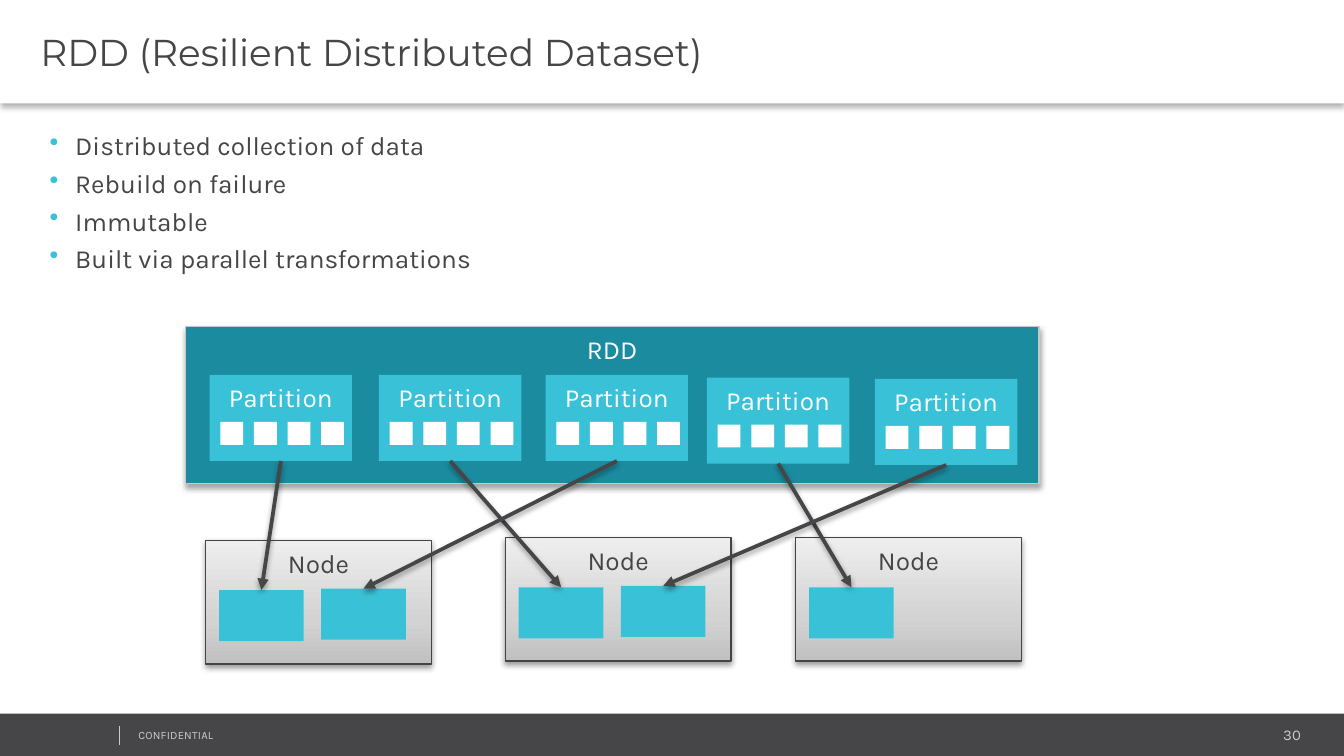
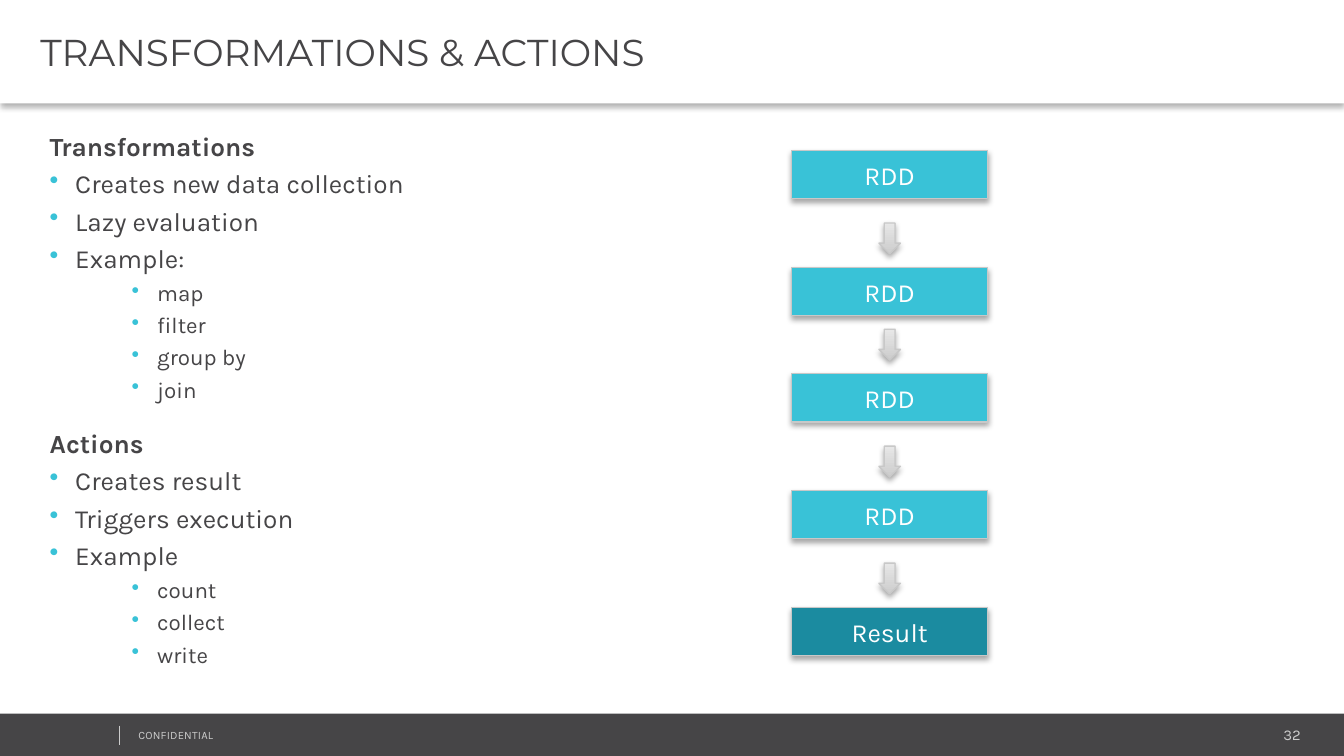
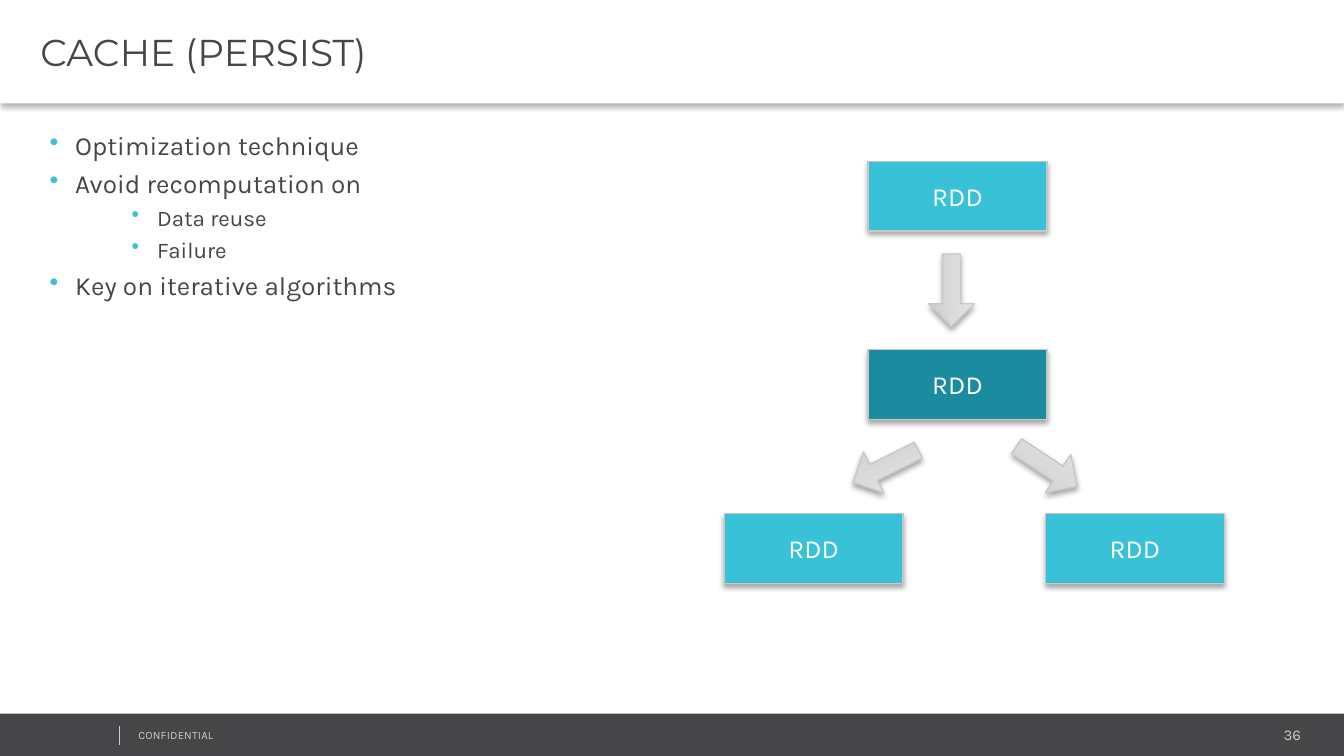
from dataclasses import dataclass

from lxml.etree import SubElement
from pptx import Presentation
from pptx.dml.color import RGBColor
from pptx.enum.shapes import MSO_CONNECTOR, MSO_SHAPE
from pptx.enum.text import MSO_ANCHOR, PP_ALIGN
from pptx.oxml.ns import qn
from pptx.util import Inches, Pt


@dataclass(frozen=True)
class Theme:
    white: str = "FFFFFF"
    ink: str = "464547"
    accent: str = "39C2D7"
    deep: str = "1B8BA0"
    edge: str = "C8C8C8"
    node_edge: str = "444345"
    muted: str = "CCCCCC"
    arrow_stops: tuple = ((0, "CCCCCC"), (100, "E7E7E7"))
    node_stops: tuple = ((0, "C1C0C1"), (35, "D3D3D4"), (100, "EFEEEF"))
    # Shadows: opacity in percent, distance in points
    title_shadow: tuple = (30, 2)
    box_shadow: tuple = (35, 1.8)
    node_shadow: tuple = (38, 1.6)
    body_font: str = "Karla"
    title_font: str = "Montserrat"
    title_size: float = 20
    body_size: float = 14
    sub_size: float = 12
    page_size: float = 8
    note_size: float = 6


T = Theme()
WIDTH, HEIGHT = 10, 5.625
TEXT_INSETS = (0.07, 0.04, 0.07, 0.04)
BULLETS = {0: dict(indent=0.19, size=T.body_size, format=dict(line_spacing=1.2)),
           1: dict(indent=0.8, size=T.sub_size, format=dict(level=1, space_before=Pt(2.8)))}
HANGING = 0.19


def set_values(obj, values):
    for name, value in values.items():
        setattr(obj, name, value)


def set_line(line, color, width):
    line.color.rgb = RGBColor.from_string(color)
    line.width = Pt(width)


def set_gradient(sp, stops):
    """Fill from the bottom up with (percent, colour) stops."""
    sp.fill.gradient()
    sp.fill.gradient_angle = 90
    gs_list = sp.element.spPr.find(qn("a:gradFill")).find(qn("a:gsLst"))
    for gs in list(gs_list):
        gs_list.remove(gs)
    for percent, color in stops:
        gs = SubElement(gs_list, qn("a:gs"), pos=str(percent * 1000))
        SubElement(gs, qn("a:srgbClr"), val=color)


def set_shadow(sp, shadow):
    """Replace the theme shadow by a soft one below, or by none."""
    effects = sp.element.spPr.find(qn("a:effectLst"))
    if effects is None:
        effects = SubElement(sp.element.spPr, qn("a:effectLst"))
    if shadow:
        opacity, distance = shadow
        outer = SubElement(effects, qn("a:outerShdw"), blurRad=str(Pt(3.1)),
                           dist=str(Pt(distance)), dir="5400000",
                           algn="ctr", rotWithShape="0")
        color = SubElement(outer, qn("a:srgbClr"), val="000000")
        SubElement(color, qn("a:alpha"), val=str(opacity * 1000))


def add_run(p, text, size, color, font=T.body_font, bold=False):
    r = p.add_run()
    r.text = text
    set_values(r.font, dict(name=font, size=Pt(size), bold=bold))
    r.font.color.rgb = RGBColor.from_string(color)
    return r


def set_frame(tf, insets=TEXT_INSETS, anchor=MSO_ANCHOR.TOP):
    sides = ("margin_left", "margin_top", "margin_right", "margin_bottom")
    set_values(tf, dict(zip(sides, map(Inches, insets)),
                        word_wrap=True, vertical_anchor=anchor))


def add_block(shapes, box, fill, kind=MSO_SHAPE.RECTANGLE, line=None, shadow=None):
    """Add a shape; fill is a colour or a tuple of gradient stops."""
    sp = shapes.add_shape(kind, *map(Inches, box))
    sp.shadow.inherit = False
    if isinstance(fill, tuple):
        set_gradient(sp, fill)
    else:
        sp.fill.solid()
        sp.fill.fore_color.rgb = RGBColor.from_string(fill)
    if line:
        set_line(sp.line, line, 0.75)
    else:
        sp.line.fill.background()
    set_shadow(sp, shadow)
    return sp


def add_label(sp, text, color=T.white, anchor=MSO_ANCHOR.TOP):
    set_frame(sp.text_frame, (0.1, 0.05, 0.1, 0.05), anchor)
    p = sp.text_frame.paragraphs[0]
    p.alignment = PP_ALIGN.CENTER
    add_run(p, text, T.body_size, color)


def add_rdd(shapes, box, text="RDD", fill=T.accent, anchor=MSO_ANCHOR.MIDDLE):
    sp = add_block(shapes, box, fill, line=T.edge, shadow=T.box_shadow)
    add_label(sp, text, anchor=anchor)


def add_flow_arrow(shapes, box, kind):
    return add_block(shapes, box, T.arrow_stops, kind, T.edge, T.box_shadow)


def add_textbox(shapes, box):
    tf = shapes.add_textbox(*map(Inches, box)).text_frame
    set_frame(tf)
    return tf


def add_title(shapes, text):
    sp = add_block(shapes, (0, 0, WIDTH, 0.77), T.white, shadow=T.title_shadow)
    set_frame(sp.text_frame, (0.3, 0.04, 0.07, 0.04), MSO_ANCHOR.MIDDLE)
    p = sp.text_frame.paragraphs[0]
    p.alignment = PP_ALIGN.LEFT
    add_run(p, text, T.title_size, T.ink, T.title_font)


def add_footer(shapes, number):
    top = 5.31
    add_block(shapes, (0, top, WIDTH, HEIGHT - top), T.ink)
    p = add_textbox(shapes, (8.12, top + 0.05, 1.63, 0.21)).paragraphs[0]
    p.alignment = PP_ALIGN.RIGHT
    add_run(p, str(number), T.page_size, T.muted)
    p = add_textbox(shapes, (0.96, top + 0.07, 2.53, 0.18)).paragraphs[0]
    r = add_run(p, "CONFIDENTIAL", T.note_size, T.muted)
    r.font._element.set("spc", "10")
    divider = shapes.add_connector(
        MSO_CONNECTOR.STRAIGHT, *map(Inches, (0.89, top + 0.09, 0.89, top + 0.23)))
    set_line(divider.line, T.muted, 0.25)
    set_shadow(divider, None)


def add_bullets(shapes, box, items, heading=None):
    """Write (level, text) items, below a bold heading if there is one."""
    tf = add_textbox(shapes, box)
    p = tf.paragraphs[0]
    if heading:
        p.line_spacing = BULLETS[0]["format"]["line_spacing"]
        add_run(p, heading, T.body_size, T.ink, bold=True)
    for i, (level, text) in enumerate(items):
        if heading or i:
            p = tf.add_paragraph()
        style = BULLETS[level]
        pPr = p._p.get_or_add_pPr()
        pPr.set("marL", str(Inches(style["indent"])))
        pPr.set("indent", str(-Inches(HANGING)))
        SubElement(SubElement(pPr, qn("a:buClr")), qn("a:srgbClr"), val=T.accent)
        SubElement(pPr, qn("a:buChar"), char="•")
        set_values(p, style["format"])
        add_run(p, text, style["size"], T.ink)


def add_partition(shapes, left, top):
    group = shapes.add_group_shape().shapes
    body = add_block(group, (left, top, 1.06, 0.64), T.accent)
    add_label(body, "Partition")
    for i in range(4):
        add_block(group, (left + 0.08 + 0.25 * i, top + 0.35, 0.17, 0.17), T.white)
    return body


def add_node(shapes, left, top, slot_count):
    """Draw a node and return its slots."""
    node = add_block(shapes, (left, top, 1.68, 0.92), T.node_stops,
                     line=T.node_edge, shadow=T.node_shadow)
    add_label(node, "Node", T.ink)
    return [add_block(shapes, (left + 0.1 + 0.76 * i, top + 0.37 - 0.01 * i, 0.63, 0.38),
                      T.accent) for i in range(slot_count)]


def connect(shapes, partition, slot):
    cxn = shapes.add_connector(
        MSO_CONNECTOR.STRAIGHT,
        partition.left + partition.width // 2, partition.top + partition.height,
        slot.left + slot.width // 2, slot.top)
    cxn.begin_connect(partition, 2)
    cxn.end_connect(slot, 0)
    set_line(cxn.line, T.ink, 2)
    SubElement(cxn.line._get_or_add_ln(), qn("a:tailEnd"), type="triangle")
    set_shadow(cxn, T.node_shadow)


def draw_placement(shapes, left, top):
    """Draw an RDD whose partitions are placed on nodes."""
    add_rdd(shapes, (left, top, 6.35, 1.17), fill=T.deep, anchor=MSO_ANCHOR.TOP)
    partitions = [add_partition(shapes, left + x, top + y) for x, y in
                  ((0.18, 0.36), (1.44, 0.36), (2.68, 0.36), (3.88, 0.38), (5.13, 0.39))]
    nodes = [add_node(shapes, left + x, top + y, count) for x, y, count in
             ((0.15, 1.59, 2), (2.38, 1.57, 2), (4.54, 1.57, 1))]
    targets = ((0, 0), (1, 0), (0, 1), (2, 0), (1, 1))
    for partition, (node, slot) in zip(partitions, targets):
        connect(shapes, partition, nodes[node][slot])


def draw_chain(shapes, left, top):
    """Draw a column of RDDs that ends in a result."""
    width, arrow_width = 1.46, 0.16
    for i, y in enumerate((0, 0.87, 1.66, 2.53, 3.4)):
        last = i == 4
        add_rdd(shapes, (left, top + y, width, 0.36), "Result" if last else "RDD",
                T.deep if last else T.accent)
        if i:
            add_flow_arrow(shapes, (left + (width - arrow_width) / 2, top + y - 0.33,
                                    arrow_width, 0.23), MSO_SHAPE.DOWN_ARROW)


def draw_reuse_tree(shapes, left, top):
    """Draw a cached RDD that feeds two others."""
    for x, y, fill in ((1.07, 0, T.accent), (1.07, 1.4, T.deep),
                       (0, 2.62, T.accent), (2.39, 2.62, T.accent)):
        add_rdd(shapes, (left + x, top + y, 1.33, 0.52), fill=fill)
    for x, y, angle in ((1.42, 0.79, 90), (2.13, 2.1, 33.5), (0.93, 2.1, 153.5)):
        arrow = add_flow_arrow(shapes, (left + x, top + y, 0.54, 0.34),
                               MSO_SHAPE.RIGHT_ARROW)
        arrow.adjustments[0] = 0.39
        arrow.rotation = angle


def add_slide(prs, title, number):
    shapes = prs.slides.add_slide(prs.slide_layouts[6]).shapes
    add_footer(shapes, number)
    add_title(shapes, title)
    return shapes


def build_rdd_slide(prs):
    shapes = add_slide(prs, "RDD (Resilient Distributed Dataset)", 30)
    add_bullets(shapes, (0.3, 0.88, 4.3, 1.43), (
        (0, "Distributed collection of data"), (0, "Rebuild on failure"),
        (0, "Immutable"), (0, "Built via parallel transformations")))
    draw_placement(shapes, 1.38, 2.43)


def build_operations_slide(prs):
    shapes = add_slide(prs, "TRANSFORMATIONS & ACTIONS", 32)
    add_bullets(shapes, (0.3, 0.88, 4.23, 2.21), (
        (0, "Creates new data collection"), (0, "Lazy evaluation"), (0, "Example:"),
        (1, "map"), (1, "filter"), (1, "group by"), (1, "join")), "Transformations")
    add_bullets(shapes, (0.3, 3.09, 4.23, 2.12), (
        (0, "Creates result"), (0, "Triggers execution"), (0, "Example"),
        (1, "count"), (1, "collect"), (1, "write")), "Actions")
    draw_chain(shapes, 5.89, 1.12)


def build_cache_slide(prs):
    shapes = add_slide(prs, "CACHE (PERSIST)", 36)
    add_bullets(shapes, (0.3, 0.88, 5.16, 4.26), (
        (0, "Optimization technique"), (0, "Avoid recomputation on"),
        (1, "Data reuse"), (1, "Failure"), (0, "Key on iterative algorithms")))
    draw_reuse_tree(shapes, 5.39, 1.2)


def main():
    prs = Presentation()
    set_values(prs, dict(slide_width=Inches(WIDTH), slide_height=Inches(HEIGHT)))
    build_rdd_slide(prs)
    build_operations_slide(prs)
    build_cache_slide(prs)
    prs.save("out.pptx")


if __name__ == "__main__":
    main()
